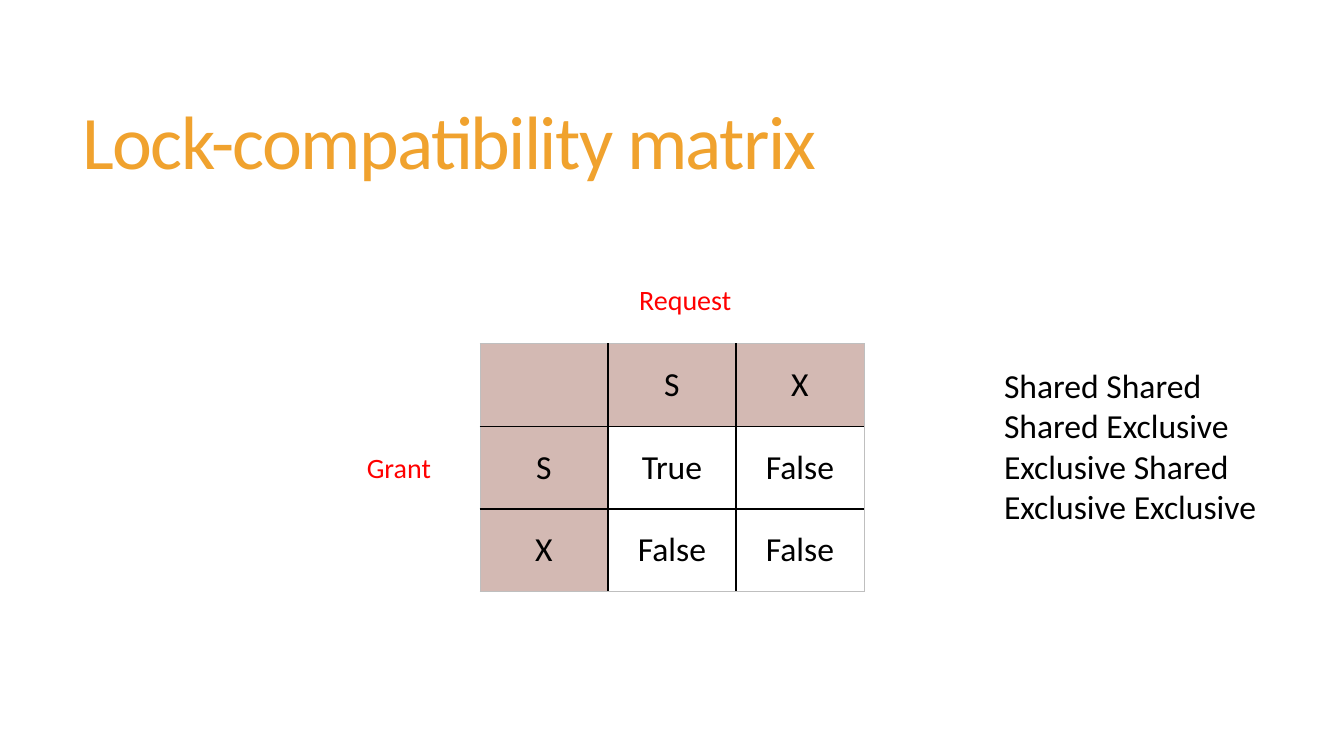
from lxml import etree
from pptx import Presentation
from pptx.dml.color import RGBColor
from pptx.enum.text import MSO_ANCHOR, PP_ALIGN
from pptx.oxml.ns import qn
from pptx.util import Inches, Pt

MIDDLE, TOP = MSO_ANCHOR.MIDDLE, MSO_ANCHOR.TOP
CENTER = PP_ALIGN.CENTER

ORANGE = RGBColor(0xF0, 0xA2, 0x2E)
RED = RGBColor(0xFF, 0x00, 0x00)
BLACK = RGBColor(0x00, 0x00, 0x00)
GREY = RGBColor(0xBF, 0xBF, 0xBF)
ROSE = RGBColor(0xD3, 0xB9, 0xB3)

FONT = "Calibri"
COLUMN_WIDTH, ROW_HEIGHT = 1.27, 0.82
MATRIX = [
    ["", "S", "X"],
    ["S", "True", "False"],
    ["X", "False", "False"],
]
LOCK_PAIRS = ["Shared Shared", "Shared Exclusive",
              "Exclusive Shared", "Exclusive Exclusive"]


def format_font(font, size, color):
    for name, value in {"name": FONT, "size": Pt(size)}.items():
        setattr(font, name, value)
    font.color.rgb = color


def add_text(slide, box, lines, size, color, wrap=True, anchor=TOP):
    """Add a text box with one paragraph per line and return its text frame."""
    frame = slide.shapes.add_textbox(*map(Inches, box)).text_frame
    frame.word_wrap = wrap
    frame.vertical_anchor = anchor
    frame.text = "\n".join(lines)
    for paragraph in frame.paragraphs:
        format_font(paragraph.runs[0].font, size, color)
    return frame


def add_title(slide, text):
    frame = add_text(slide, (0.72, 0.55, 11.78, 1.81), [text], 54, ORANGE,
                     anchor=MIDDLE)
    paragraph = frame.paragraphs[0]
    paragraph.line_spacing = 0.85
    paragraph.runs[0].font._element.set("spc", "-120")


def add_border(cell, side, color, width):
    properties = cell._tc.get_or_add_tcPr()
    line = etree.SubElement(properties, qn(f"a:ln{side}"), w=str(Pt(width)))
    fill = etree.SubElement(line, qn("a:solidFill"))
    etree.SubElement(fill, qn("a:srgbClr"), val=str(color))


def format_cell(cell, text, is_header, outer_sides):
    """Fill in a cell; sides on the table's edge get a fine grey border."""
    for side in "LRTB":
        if side in outer_sides:
            add_border(cell, side, GREY, 0.5)
        else:
            add_border(cell, side, BLACK, 1)
    if is_header:
        cell.fill.solid()
        cell.fill.fore_color.rgb = ROSE
    else:
        cell.fill.background()
    cell.text = text
    cell.vertical_anchor = MIDDLE
    paragraph = cell.text_frame.paragraphs[0]
    paragraph.alignment = CENTER
    format_font(paragraph.font, 24, BLACK)
    for run in paragraph.runs:
        format_font(run.font, 24, BLACK)


def add_matrix(slide, left, top, rows):
    row_count, column_count = len(rows), len(rows[0])
    table = slide.shapes.add_table(
        row_count, column_count, Inches(left), Inches(top),
        Inches(COLUMN_WIDTH * column_count),
        Inches(ROW_HEIGHT * row_count)).table
    table.first_row = table.horz_banding = False
    for row, texts in enumerate(rows):
        for column, text in enumerate(texts):
            edges = {"L": column == 0, "R": column == column_count - 1,
                     "T": row == 0, "B": row == row_count - 1}
            outer_sides = [side for side, is_outer in edges.items() if is_outer]
            format_cell(table.cell(row, column), text,
                        row == 0 or column == 0, outer_sides)


def main():
    presentation = Presentation()
    presentation.slide_width = Inches(13.33)
    presentation.slide_height = Inches(7.5)
    slide = presentation.slides.add_slide(presentation.slide_layouts[6])

    add_title(slide, "Lock-compatibility matrix")
    add_matrix(slide, 4.76, 3.41, MATRIX)
    add_text(slide, (3.54, 4.42, 0.87, 0.44), ["Grant"], 20, RED, wrap=False)
    add_text(slide, (6.24, 2.75, 1.12, 0.44), ["Request"], 20, RED, wrap=False)
    add_text(slide, (9.86, 3.57, 3, 1.72), LOCK_PAIRS, 24, BLACK)

    presentation.save("out.pptx")


if __name__ == "__main__":
    main()
